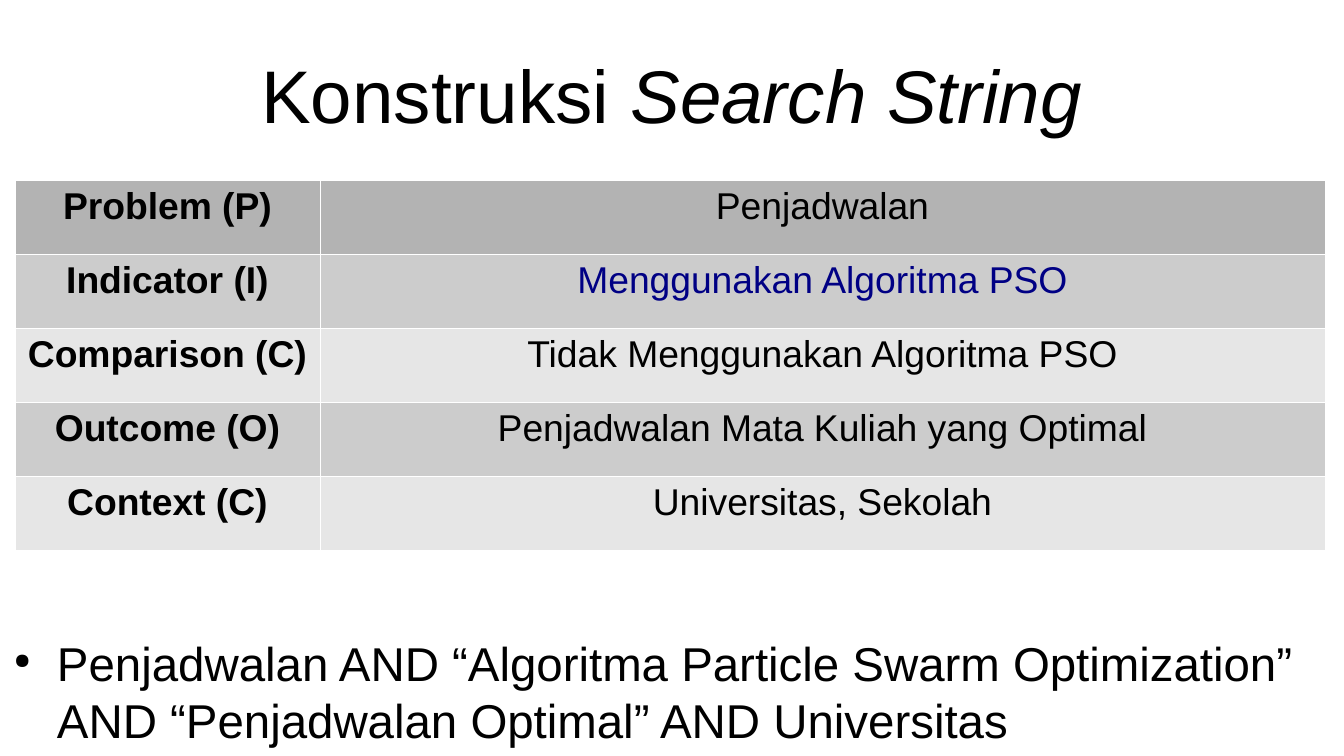
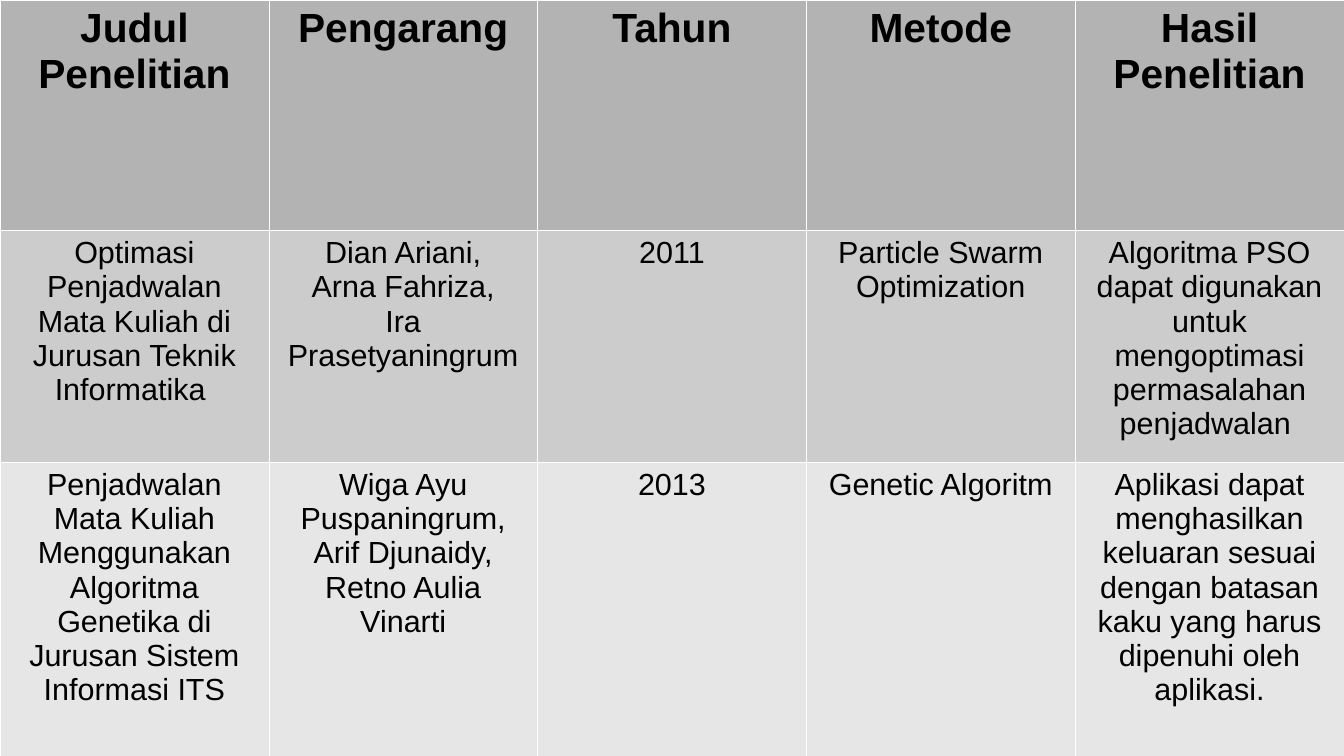
from dataclasses import dataclass

from lxml.etree import SubElement
from pptx import Presentation
from pptx.dml.color import RGBColor
from pptx.enum.text import MSO_ANCHOR, PP_ALIGN
from pptx.oxml.ns import qn
from pptx.util import Pt

PX = 914400 / 122
WIDTH, HEIGHT = 1344, 756


@dataclass(frozen=True)
class Theme:
    font: str = "Arial"
    ink: str = "000000"
    accent: str = "000084"
    border: str = "FFFFFF"
    header: str = "B3B3B3"
    bands: tuple = ("CCCCCC", "E6E6E6")
    title: int = 44
    body: int = 28
    heading: int = 24
    label: int = 22
    detail: int = 18
    hairline: float = 0.06


THEME = Theme()

PICOC = [
    ("Problem (P)", "Penjadwalan"),
    ("Indicator (I)", "Menggunakan Algoritma PSO"),
    ("Comparison (C)", "Tidak Menggunakan Algoritma PSO"),
    ("Outcome (O)", "Penjadwalan Mata Kuliah yang Optimal"),
    ("Context (C)", "Universitas, Sekolah"),
]

STUDIES = [
    ("Judul Penelitian", "Pengarang", "Tahun", "Metode", "Hasil Penelitian"),
    (
        "Optimasi Penjadwalan Mata Kuliah di Jurusan Teknik Informatika ",
        "Dian Ariani,\nArna Fahriza,\nIra Prasetyaningrum",
        "2011",
        "Particle Swarm Optimization",
        "Algoritma PSO dapat digunakan untuk mengoptimasi\npermasalahan\npenjadwalan ",
    ),
    (
        "Penjadwalan Mata Kuliah Menggunakan Algoritma Genetika di Jurusan Sistem Informasi ITS",
        "Wiga Ayu Puspaningrum,\nArif Djunaidy,\nRetno Aulia Vinarti",
        "2013",
        "Genetic Algoritm",
        "Aplikasi dapat menghasilkan keluaran sesuai dengan batasan kaku "
        "yang harus dipenuhi oleh aplikasi.",
    ),
]


def px(length):
    return round(length * PX)


def add_span(para, text, size, color=THEME.ink, bold=False, italic=False):
    span = para.add_run()
    span.text = text
    span.font.name = THEME.font
    span.font.size = Pt(size)
    span.font.bold = bold
    span.font.italic = italic
    span.font.color.rgb = RGBColor.from_string(color)


def add_box(page, left, top, width, height, anchor):
    box = page.shapes.add_textbox(px(left), px(top), px(width), px(height))
    frame = box.text_frame
    frame.word_wrap = True
    frame.vertical_anchor = anchor
    frame.margin_left = frame.margin_right = 0
    frame.margin_top = frame.margin_bottom = 0
    return frame.paragraphs[0]


def add_title(page, plain, emphasis):
    para = add_box(page, 67, 30, 1210, 127, MSO_ANCHOR.MIDDLE)
    para.alignment = PP_ALIGN.CENTER
    add_span(para, plain, THEME.title)
    add_span(para, emphasis, THEME.title, italic=True)


def add_bullet(page, top, text):
    para = add_box(page, 0, top, WIDTH, HEIGHT - top, MSO_ANCHOR.TOP)
    para.space_before = Pt(14.2)
    add_span(para, text, THEME.body)
    properties = para._p.get_or_add_pPr()
    properties.set("marL", str(px(57)))
    properties.set("indent", str(px(-43)))
    color = SubElement(properties, qn("a:buClr"))
    SubElement(color, qn("a:srgbClr"), val=THEME.ink)
    SubElement(properties, qn("a:buSzPct"), val="45000")
    SubElement(properties, qn("a:buChar"), char="●")


def add_borders(cell):
    properties = cell._tc.get_or_add_tcPr()
    for side in ("lnL", "lnR", "lnT", "lnB"):
        line = SubElement(properties, qn(f"a:{side}"), w=str(Pt(THEME.hairline)))
        fill = SubElement(line, qn("a:solidFill"))
        SubElement(fill, qn("a:srgbClr"), val=THEME.border)


def fill_cell(cell, text, fill, **style):
    add_borders(cell)
    cell.fill.solid()
    cell.fill.fore_color.rgb = RGBColor.from_string(fill)
    frame = cell.text_frame
    for index, line in enumerate(text.split("\n")):
        para = frame.add_paragraph() if index else frame.paragraphs[0]
        para.alignment = PP_ALIGN.CENTER
        add_span(para, line, **style)


def add_grid(page, left, top, widths, heights, rows, style_for):
    frame = page.shapes.add_table(
        len(heights), len(widths), px(left), px(top), px(sum(widths)), px(sum(heights))
    )
    table = frame.table
    for column, width in zip(table.columns, widths):
        column.width = px(width)
    for row, height in zip(table.rows, heights):
        row.height = px(height)
    for r, texts in enumerate(rows):
        fill = THEME.bands[(r - 1) % 2] if r else THEME.header
        for c, text in enumerate(texts):
            fill_cell(table.cell(r, c), text, fill, **style_for(r, c))


def picoc_style(row, column):
    color = THEME.accent if (row, column) == (1, 1) else THEME.ink
    return {"size": THEME.label, "bold": column == 0, "color": color}


def study_style(row, column):
    return {"size": THEME.detail if row else THEME.heading, "bold": row == 0}


def build_search_page(page):
    add_title(page, "Konstruksi ", "Search String")
    add_bullet(
        page,
        634,
        "Penjadwalan AND “Algoritma Particle Swarm Optimization” "
        "AND “Penjadwalan Optimal” AND Universitas",
    )
    add_grid(page, 15, 180, [305, 1005], [74] * len(PICOC), PICOC, picoc_style)


def build_studies_page(page):
    columns = len(STUDIES[0])
    add_grid(page, 0, 0, [WIDTH / columns] * columns, [230, 231, 307], STUDIES, study_style)


def main():
    deck = Presentation()
    deck.slide_width, deck.slide_height = px(WIDTH), px(HEIGHT)
    blank = deck.slide_layouts[6]
    for build in (build_search_page, build_studies_page):
        build(deck.slides.add_slide(blank))
    deck.save("out.pptx")


if __name__ == "__main__":
    main()
